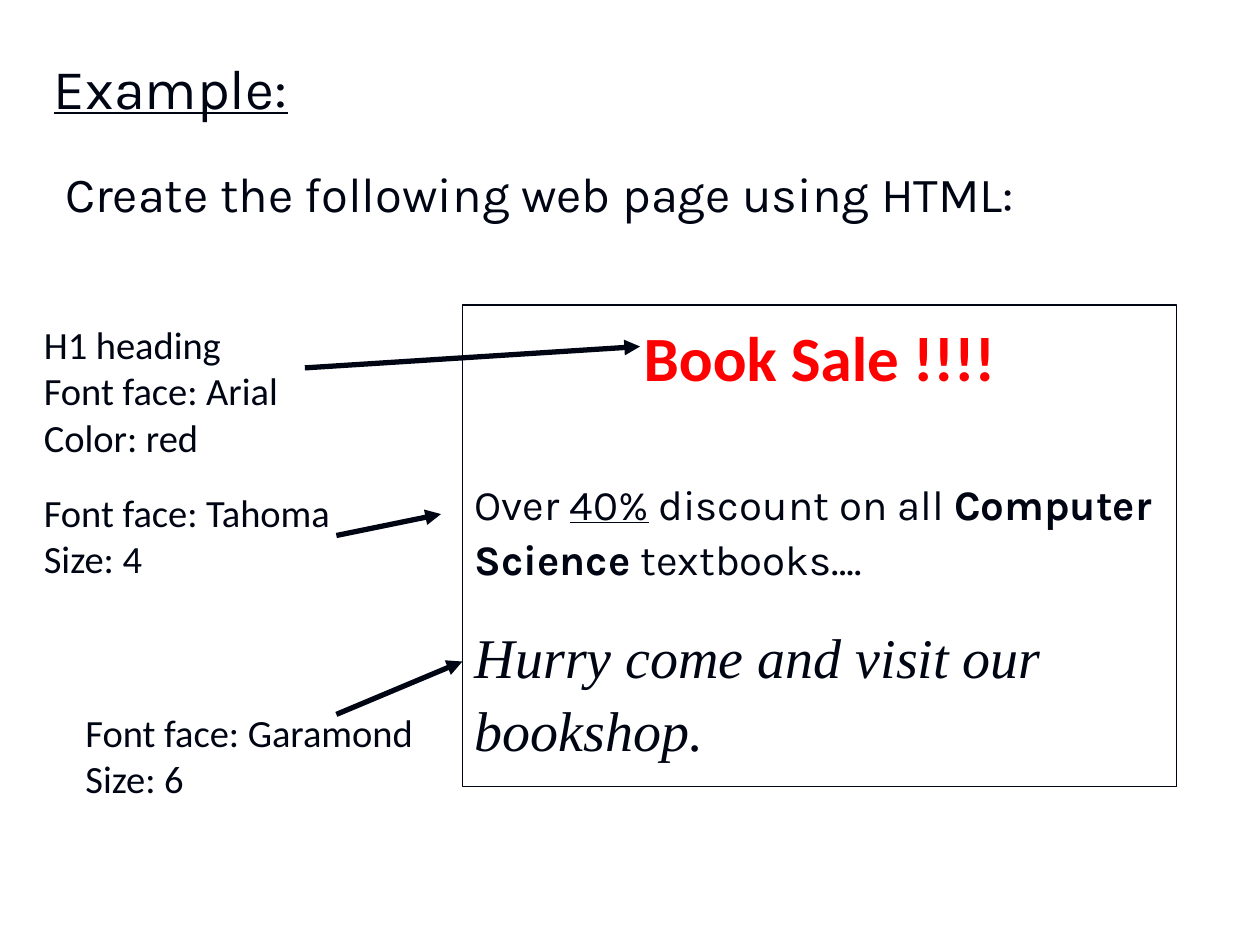
from dataclasses import dataclass

from lxml.etree import SubElement
from pptx import Presentation
from pptx.dml.color import RGBColor as RGB
from pptx.enum.shapes import MSO_CONNECTOR as CONN, MSO_SHAPE as SHAPE
from pptx.enum.text import MSO_ANCHOR as ANCHOR, PP_ALIGN as ALIGN
from pptx.oxml.ns import qn
from pptx.util import Inches, Pt


@dataclass(frozen=True)
class Theme:
    ink: RGB = RGB(0x00, 0x05, 0x14)
    accent: RGB = RGB(0xFF, 0x00, 0x00)
    display: str = "Karla"
    label: str = "Calibri"
    serif: str = "Times New Roman"
    title: int = 32
    lead: int = 28
    heading: int = 36
    body: int = 24
    closing: int = 32
    note: int = 22
    border: float = 0.75
    arrow: float = 3


class SlideBuilder:
    """Draws styled elements on one slide."""

    def __init__(self, slide, theme):
        self.slide = slide
        self.theme = theme

    def style(self, p, face, size, color=None):
        p.font.name = face
        p.font.size = Pt(size)
        p.font.color.rgb = color or self.theme.ink

    def text(self, box, lines, face, size, wrap=True, anchor=ANCHOR.TOP):
        sp = self.slide.shapes.add_textbox(*map(Inches, box))
        tf = sp.text_frame
        tf.word_wrap = wrap
        tf.vertical_anchor = anchor
        tf.text = "\n".join(lines)
        for p in tf.paragraphs:
            self.style(p, face, size)
        return tf.paragraphs[0]

    def note(self, box, *lines):
        self.text(box, lines, self.theme.label, self.theme.note, wrap=False)

    def arrow(self, tip, end):
        line = self.slide.shapes.add_connector(CONN.STRAIGHT, *map(Inches, tip + end))
        line.line.color.rgb = self.theme.ink
        line.line.width = Pt(self.theme.arrow)
        SubElement(line.line._get_or_add_ln(), qn("a:headEnd"), type="triangle")
        SubElement(line._element.spPr, qn("a:effectLst"))

    def page(self, box):
        sp = self.slide.shapes.add_shape(SHAPE.RECTANGLE, *map(Inches, box))
        sp.shadow.inherit = False
        sp.fill.background()
        sp.line.color.rgb = self.theme.ink
        sp.line.width = Pt(self.theme.border)
        tf = sp.text_frame
        tf.word_wrap = True
        tf.vertical_anchor = ANCHOR.TOP
        return tf

    def page_line(self, p, runs, face, size, before, color=None, align=ALIGN.LEFT):
        self.style(p, face, size, color)
        p.alignment = align
        p.line_spacing = 1.1
        p.space_before = Pt(before)
        for text, attrs in runs:
            r = p.add_run()
            r.text = text
            for name in attrs:
                setattr(r.font, name, True)


def main():
    prs = Presentation()
    prs.slide_width, prs.slide_height = Inches(10), Inches(7.5)
    t = Theme()
    s = SlideBuilder(prs.slides.add_slide(prs.slide_layouts[6]), t)

    title = s.text((0.33, 0.25, 2.75, 0.88), ["Example:"], t.display, t.title,
                   anchor=ANCHOR.MIDDLE)
    title.font.underline = True
    lead = s.text((0.42, 1.25, 9, 0.83), ["Create the following web page using HTML:"],
                  t.display, t.lead)
    lead.space_before = Pt(3)

    tf = s.page((3.67, 2.42, 5.67, 3.82))
    s.page_line(tf.paragraphs[0], [("Book Sale !!!!", ["bold"])], t.label, t.heading, 0,
                t.accent, ALIGN.CENTER)
    offer = [("Over ", []), ("40%", ["underline"]), (" discount on all ", []),
             ("Computer Science", ["bold"]), (" textbooks….", [])]
    s.page_line(tf.add_paragraph(), offer, t.display, t.body, 45)
    s.page_line(tf.add_paragraph(), [("Hurry come and visit our bookshop.", ["italic"])],
                t.serif, t.closing, 18)

    s.note((0.25, 2.5, 2.07, 1.57), "H1 heading", "Font face: Arial", "Color: red")
    s.note((0.25, 3.83, 2.53, 0.83), "Font face: Tahoma", "Size: 4")
    s.note((0.58, 5.58, 2.82, 0.83), "Font face: Garamond", "Size: 6")

    for tip, end in [((5.08, 2.75), (2.42, 2.92)),
                     ((3.5, 4.08), (2.67, 4.25)),
                     ((3.67, 5.25), (2.67, 5.67))]:
        s.arrow(tip, end)

    prs.save("out.pptx")


if __name__ == "__main__":
    main()
